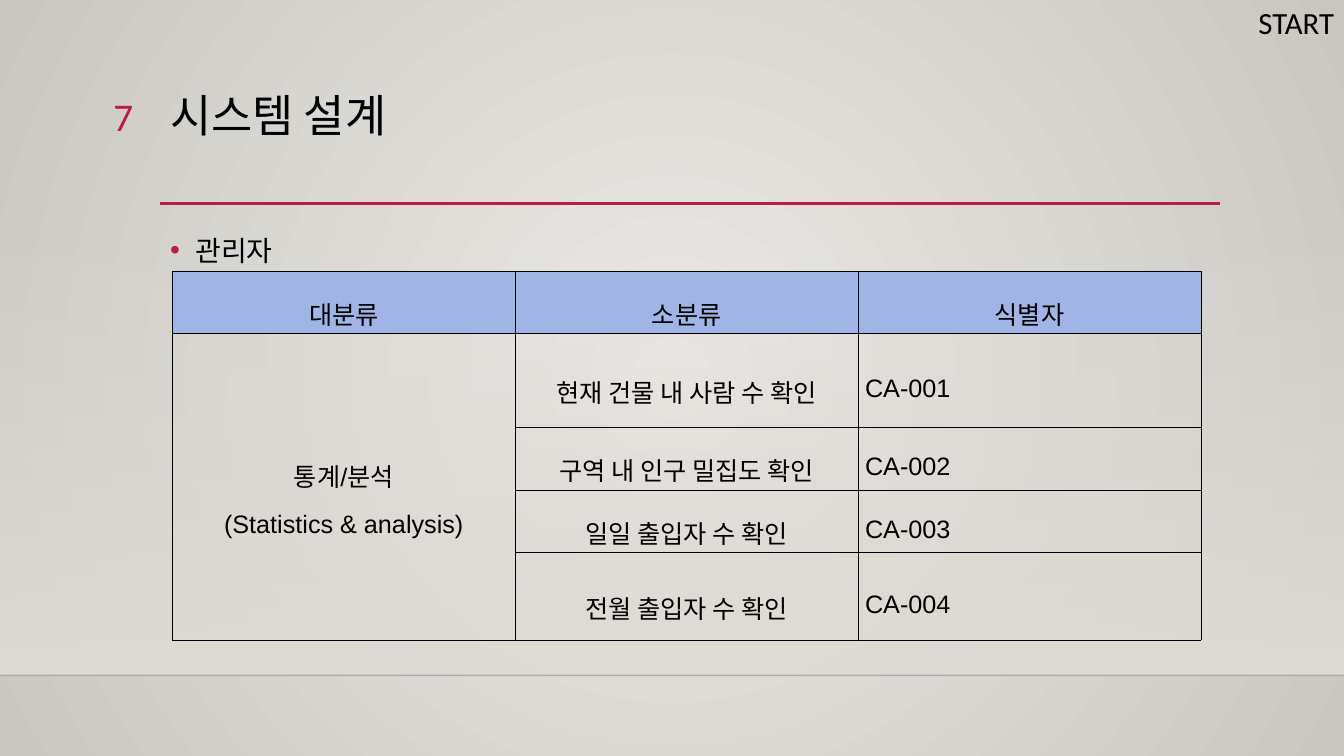
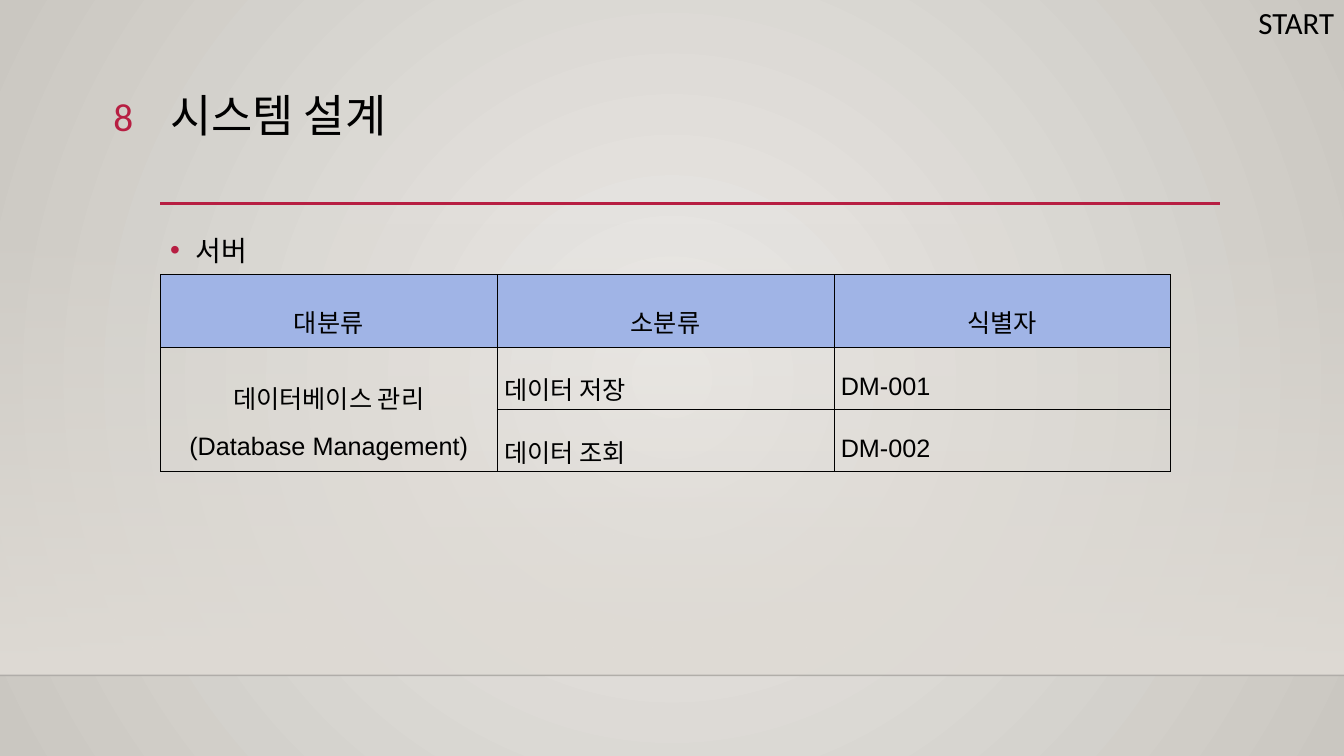
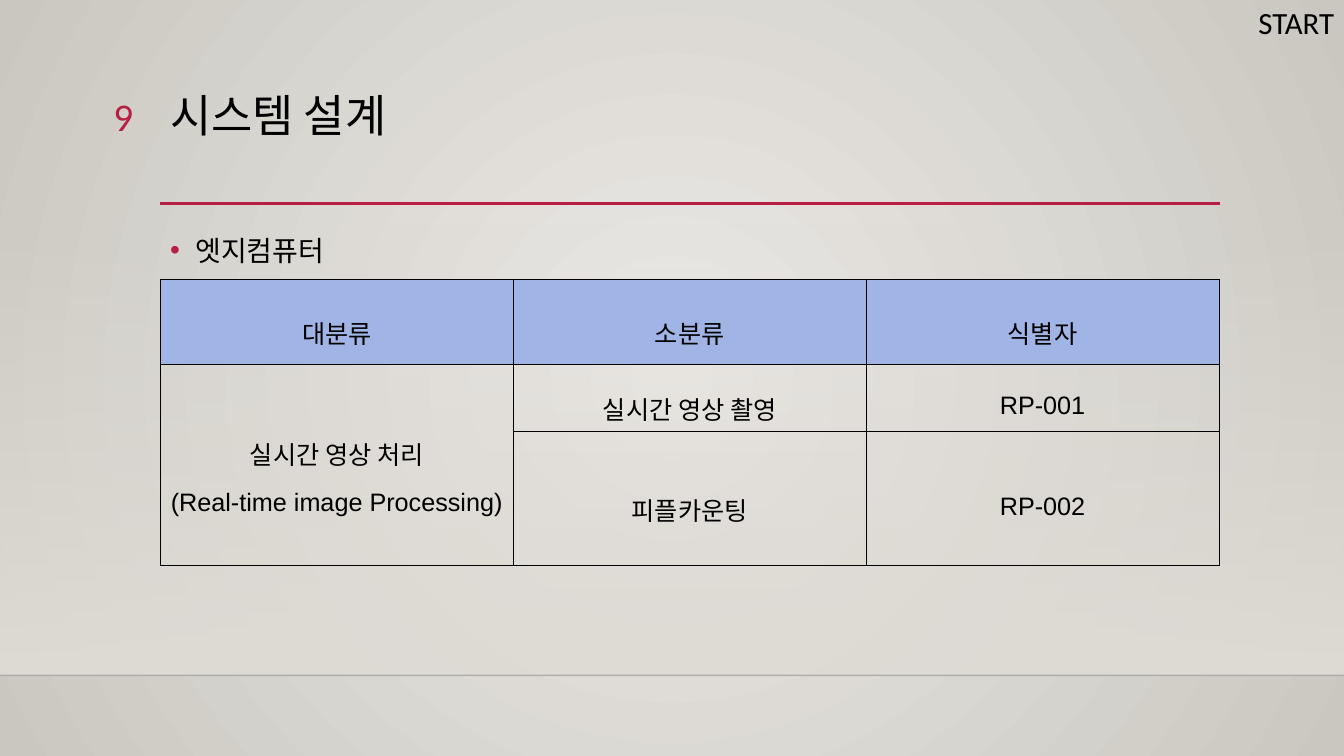
"""Build three system design slides, each with a classification table."""
import lxml.etree
import pptx
import pptx.dml.color
import pptx.enum.shapes
import pptx.enum.text
import pptx.oxml.ns
import pptx.util

Inches, Pt = pptx.util.Inches, pptx.util.Pt
qn, SubElement = pptx.oxml.ns.qn, lxml.etree.SubElement
ALIGN = pptx.enum.text.PP_ALIGN

BLACK, ACCENT, HEADER_FILL, BAND = "000000", "B71E42", "A0B4E6", "DFDBD5"
HEADINGS = ["대분류", "소분류", "식별자"]


def rgb(value):
    return pptx.dml.color.RGBColor.from_string(value)


def add_text(slide, left, top, width, height, text, size, color=BLACK, align=ALIGN.LEFT, spacing=1.0):
    frame = slide.shapes.add_textbox(Inches(left), Inches(top), Inches(width), Inches(height)).text_frame
    frame.word_wrap = True
    frame.text = text
    paragraph = frame.paragraphs[0]
    paragraph.alignment = align
    paragraph.line_spacing = spacing
    font = paragraph.runs[0].font
    font.name, font.size = "Calibri", Pt(size)
    font.color.rgb = rgb(color)
    return paragraph


pages = [
    dict(number=7, subject="관리자", left=1.71, top=2.69, column=3.4,
         heights=[0.62, 0.93, 0.62, 0.62, 0.87], header_font="Noto Sans CJK KR",
         aligns=[ALIGN.CENTER, ALIGN.CENTER, ALIGN.JUSTIFY],
         category="통계/분석\n(Statistics & analysis)",
         items=[("현재 건물 내 사람 수 확인", "CA-001"), ("구역 내 인구 밀집도 확인", "CA-002"),
                ("일일 출입자 수 확인", "CA-003"), ("전월 출입자 수 확인", "CA-004")]),
    dict(number=8, subject="서버", left=1.59, top=2.72, column=3.34,
         heights=[0.72, 0.62, 0.62], header_font="Arial",
         aligns=[ALIGN.CENTER, ALIGN.JUSTIFY, ALIGN.JUSTIFY],
         category="데이터베이스 관리\n(Database Management)",
         items=[("데이터 저장", "DM-001"), ("데이터 조회", "DM-002")]),
    dict(number=9, subject="엣지컴퓨터", left=1.59, top=2.77, column=3.5,
         heights=[0.84, 0.67, 1.33], header_font="Arial", aligns=[ALIGN.CENTER] * 3,
         category="실시간 영상 처리\n(Real-time image Processing)",
         items=[("실시간 영상 촬영", "RP-001"), ("피플카운팅", "RP-002")]),
]

deck = pptx.Presentation()
deck.slide_width, deck.slide_height = Inches(13.33), Inches(7.5)

backdrop = deck.slide_master.background.fill
backdrop.gradient()
for position, (stop, color) in enumerate(zip(backdrop.gradient_stops, ["ECEAE7", "CAC7C1"])):
    stop.color.rgb = rgb(color)
    stop.position = position
linear = next(deck.slide_master.element.iter(qn("a:lin")))
radial = lxml.etree.Element(qn("a:path"), {"path": "circle"})
SubElement(radial, qn("a:fillToRect"), dict.fromkeys("ltrb", "50000"))
linear.getparent().replace(linear, radial)

for page in pages:
    slide = deck.slides.add_slide(deck.slide_layouts[6])

    band = slide.shapes.add_shape(pptx.enum.shapes.MSO_SHAPE.RECTANGLE,
                                  0, Inches(2.21), Inches(13.33), Inches(4.49))
    band.shadow.inherit = False
    band.line.fill.background()
    band.fill.gradient()
    band.fill.gradient_angle = 270
    for position, stop in enumerate(band.fill.gradient_stops):
        stop.color.rgb = rgb(BAND)
        stop.position = position
    SubElement(next(band.element.iter(qn("a:srgbClr"))), qn("a:alpha"), val="0")

    for start, end, y, color, weight, opacity in [(0, 13.33, 6.7, "000001", 1, 20),
                                                  (1.59, 12.1, 2.02, ACCENT, 2.5, 100)]:
        rule = slide.shapes.add_connector(pptx.enum.shapes.MSO_CONNECTOR.STRAIGHT,
                                          Inches(start), Inches(y), Inches(end), Inches(y))
        rule.line.color.rgb = rgb(color)
        rule.line.width = Pt(weight)
        SubElement(next(rule.element.iter(qn("a:srgbClr"))), qn("a:alpha"), val=str(opacity * 1000))
        SubElement(rule.element.spPr, qn("a:effectLst"))

    add_text(slide, 1.59, 0.88, 10.5, 1.15, "시스템 설계", 32, spacing=0.9)
    subject = add_text(slide, 1.59, 2.2, 10.5, 3.77, page["subject"], 20, spacing=1.2)
    properties = subject._p.get_or_add_pPr()
    properties.set("marL", str(Inches(0.25)))
    properties.set("indent", str(Inches(-0.25)))
    SubElement(SubElement(properties, qn("a:buClr")), qn("a:srgbClr"), val=ACCENT)
    SubElement(properties, qn("a:buFont"), typeface="Arial")
    SubElement(properties, qn("a:buChar"), char="•")

    rows = [HEADINGS] + [(page["category"] if i == 0 else "", *item)
                         for i, item in enumerate(page["items"])]
    table = slide.shapes.add_table(len(rows), 3, Inches(page["left"]), Inches(page["top"]),
                                   Inches(3 * page["column"]), Inches(sum(page["heights"]))).table
    table.first_row = table.horz_banding = False
    for column in table.columns:
        column.width = Inches(page["column"])
    for r, (values, height) in enumerate(zip(rows, page["heights"])):
        table.rows[r].height = Inches(height)
        for c, value in enumerate(values):
            cell = table.cell(r, c)
            cell.text_frame.text = value
            cell.vertical_anchor = pptx.enum.text.MSO_ANCHOR.MIDDLE
            cell.margin_left = cell.margin_right = Inches(0.07)
            cell.margin_top = cell.margin_bottom = Inches(0.02)
            for side in ["a:lnL", "a:lnR", "a:lnT", "a:lnB"]:
                border = SubElement(cell._tc.get_or_add_tcPr(), qn(side), w=str(Pt(0.28)))
                SubElement(SubElement(border, qn("a:solidFill")), qn("a:srgbClr"), val=BLACK)
            if r == 0:
                cell.fill.solid()
                cell.fill.fore_color.rgb = rgb(HEADER_FILL)
            else:
                cell.fill.background()
            for paragraph in cell.text_frame.paragraphs:
                paragraph.alignment = ALIGN.CENTER if r == 0 else page["aligns"][c]
                paragraph.line_spacing = 1.6
                for run in paragraph.runs:
                    run.font.name = page["header_font"] if r == 0 else "Arial"
                    run.font.size = Pt(18)
                    run.font.color.rgb = rgb(BLACK)
    table.cell(1, 0).merge(table.cell(len(rows) - 1, 0))

    add_text(slide, 11.55, -0.01, 1.78, 0.81, "START", 22, align=ALIGN.RIGHT)
    add_text(slide, 0.53, 0.87, 0.89, 0.55, str(page["number"]), 28, ACCENT, ALIGN.RIGHT)

deck.save("out.pptx")
